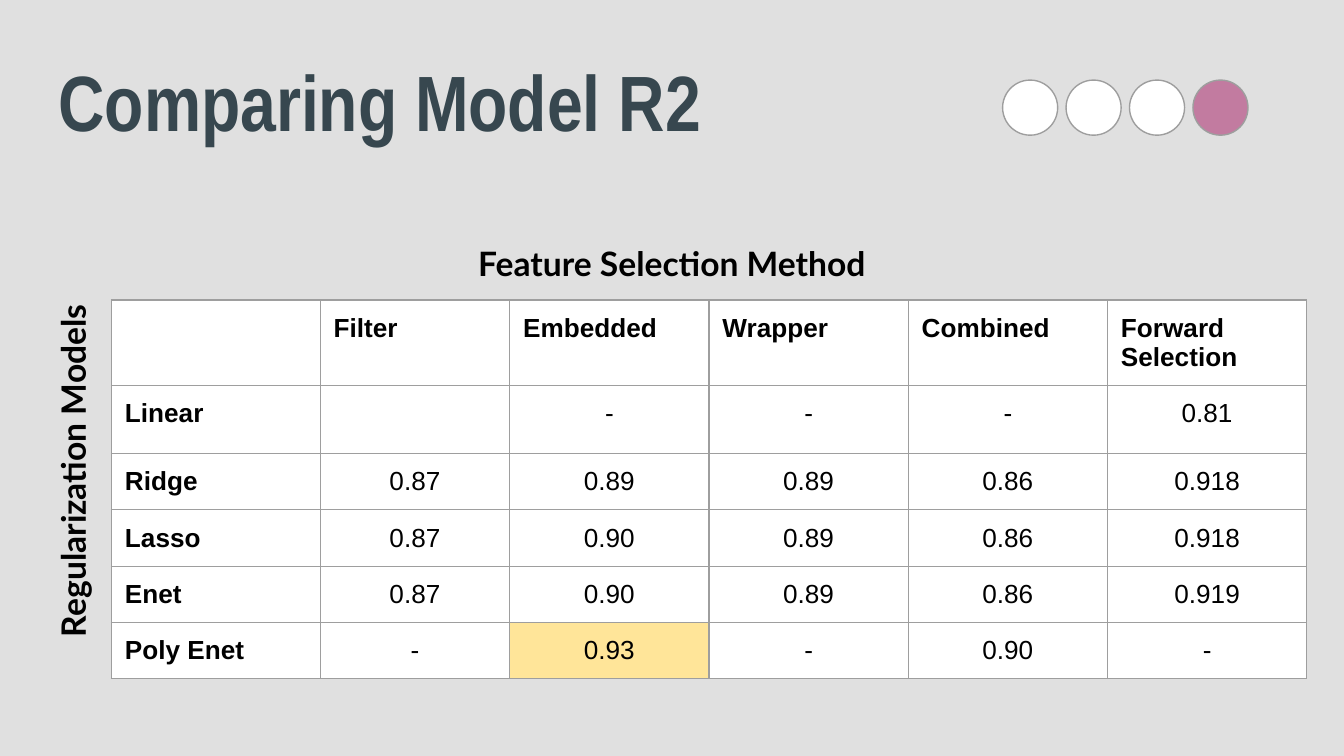
"""Build the slide that compares R2 across models and feature selection methods."""
from dataclasses import dataclass

import pptx
import pptx.dml.color
import pptx.enum.shapes
import pptx.enum.text
import pptx.oxml
import pptx.oxml.ns
import pptx.util

COLORS = {
    "background": "E0E0E0", "title": "37474F", "text": "000000", "plain": "FFFFFF",
    "rule": "9E9E9E", "current": "C27BA0", "best": "FFE599",
}
WIDTH = pptx.util.Inches(10)
HEIGHT = WIDTH * 9 // 16
RULE_WIDTH = pptx.util.Pt(0.75)
MARGIN = pptx.util.Inches(0.1)
ALIGN = pptx.enum.text.PP_ALIGN
TITLE_FORMAT = {"name": "Arial Narrow", "size": pptx.util.Pt(42), "bold": True}
LABEL_FORMAT = {"name": "Lato", "size": pptx.util.Pt(18), "bold": True}
CELL_FORMAT = {"name": "Arial", "size": pptx.util.Pt(14)}
MARGINS = {f"margin_{side}": MARGIN for side in ("left", "right", "top", "bottom")}
FRAME_FORMAT = {
    "word_wrap": True, "auto_size": pptx.enum.text.MSO_AUTO_SIZE.NONE, **MARGINS,
}
TITLE_FRAME_FORMAT = {
    **FRAME_FORMAT, "margin_bottom": pptx.util.Inches(0.8),
    "vertical_anchor": pptx.enum.text.MSO_ANCHOR.MIDDLE,
}

COLUMN_SHARES = (15.53, 14.1) + (14.83,) * 4
ROW_SHARES = (7.6,) * 2 + (7.41,) * 4
SCORES = (
    ("", "Filter", "Embedded", "Wrapper", "Combined", "Forward Selection"),
    ("Linear", "", "-", "-", "-", "0.81"),
    ("Ridge", "0.87", "0.89", "0.89", "0.86", "0.918"),
    ("Lasso", "0.87", "0.90", "0.89", "0.86", "0.918"),
    ("Enet", "0.87", "0.90", "0.89", "0.86", "0.919"),
    ("Poly Enet", "-", "0.93", "-", "0.90", "-"),
)
BEST_SCORE = (5, 2)


@dataclass(frozen=True)
class Area:
    """A rectangle in percent of the slide's width and height."""
    left: float
    top: float
    width: float
    height: float

    def lengths(self) -> tuple[int, int, int, int]:
        """Return left, top, width and height as slide lengths."""
        return across(self.left), down(self.top), across(self.width), down(self.height)


@dataclass(frozen=True)
class AxisLabel:
    """A heading along one side of the table."""
    text: str
    area: Area
    rotation: float = 0


TITLE_AREA = Area(3.35, -6.4, 75.3, 51.73)
TABLE_AREA = Area(8.3, 39.68, sum(COLUMN_SHARES), sum(ROW_SHARES))
STEPS = ("plain", "plain", "plain", "current")
STEP_PITCH = 4.72
AXIS_LABELS = (
    AxisLabel("Feature Selection Method", Area(34.6, 30.4, 31, 16.7)),
    AxisLabel("Regularization Models", Area(-7.9, 50.1, 31, 16.7), 270),
)


def across(share: float) -> int:
    """Turn a percentage of the slide's width into a length."""
    return round(WIDTH * share / 100)


def down(share: float) -> int:
    """Turn a percentage of the slide's height into a length."""
    return round(HEIGHT * share / 100)


def rgb(role: str) -> pptx.dml.color.RGBColor:
    """Look up the colour for a role."""
    return pptx.dml.color.RGBColor.from_string(COLORS[role])


def apply(target: object, values: dict) -> None:
    """Set each format value on the target."""
    for name, value in values.items():
        setattr(target, name, value)


def paint(fill, role: str) -> None:
    """Give a fill one solid colour."""
    fill.solid()
    fill.fore_color.rgb = rgb(role)


def write(frame, text: str, font: dict, role: str = "text", align=ALIGN.LEFT) -> None:
    """Put one formatted paragraph in a text frame."""
    paragraph = frame.paragraphs[0]
    paragraph.alignment = align
    run = paragraph.add_run()
    run.text = text
    apply(run.font, font)
    run.font.color.rgb = rgb(role)


def draw_title(slide) -> None:
    """Place and format the title placeholder."""
    title = slide.shapes.title
    apply(title, dict(zip(("left", "top", "width", "height"), TITLE_AREA.lengths())))
    apply(title.text_frame, TITLE_FRAME_FORMAT)
    write(title.text_frame, "Comparing Model R2", TITLE_FORMAT, "title")


def draw_steps(slide) -> None:
    """Draw the row of progress circles."""
    for index, role in enumerate(STEPS):
        area = Area(74.6 + index * STEP_PITCH, 10.6, 4.1, 7.29)
        step = slide.shapes.add_shape(pptx.enum.shapes.MSO_SHAPE.OVAL, *area.lengths())
        step.shadow.inherit = False
        paint(step.fill, role)
        step.line.color.rgb = rgb("rule")
        step.line.width = RULE_WIDTH


def rule_cell(cell) -> None:
    """Draw a thin line on all four sides of a cell."""
    properties = cell._tc.get_or_add_tcPr()
    for side in ("lnL", "lnR", "lnT", "lnB"):
        properties.append(pptx.oxml.parse_xml(
            f'<a:{side} {pptx.oxml.ns.nsdecls("a")} w="{RULE_WIDTH}"><a:solidFill>'
            f'<a:srgbClr val="{COLORS["rule"]}"/></a:solidFill></a:{side}>'))


def draw_scores(slide) -> None:
    """Draw the table of scores with its best one marked."""
    scores = slide.shapes.add_table(
        len(ROW_SHARES), len(COLUMN_SHARES), *TABLE_AREA.lengths()).table
    apply(scores, {"first_row": False, "horz_banding": False})
    for column, share in zip(scores.columns, COLUMN_SHARES):
        column.width = across(share)
    for row, share in zip(scores.rows, ROW_SHARES):
        row.height = down(share)
    for row, values in enumerate(SCORES):
        for column, value in enumerate(values):
            cell = scores.cell(row, column)
            heading = row == 0 or column == 0
            rule_cell(cell)
            paint(cell.fill, "best" if (row, column) == BEST_SCORE else "plain")
            apply(cell, MARGINS)
            if value:
                write(cell.text_frame, value, {**CELL_FORMAT, "bold": heading},
                      align=ALIGN.LEFT if heading else ALIGN.CENTER)


def draw_axis_label(slide, label: AxisLabel) -> None:
    """Write one heading beside the table."""
    heading = slide.shapes.add_textbox(*label.area.lengths())
    heading.rotation = label.rotation
    apply(heading.text_frame, FRAME_FORMAT)
    write(heading.text_frame, label.text, LABEL_FORMAT)


def main() -> None:
    """Build and save the presentation."""
    deck = pptx.Presentation()
    apply(deck, {"slide_width": WIDTH, "slide_height": HEIGHT})
    slide = deck.slides.add_slide(deck.slide_layouts.get_by_name("Title Only"))
    paint(slide.background.fill, "background")
    draw_title(slide)
    draw_steps(slide)
    draw_scores(slide)
    for label in AXIS_LABELS:
        draw_axis_label(slide, label)
    deck.save("out.pptx")


if __name__ == "__main__":
    main()
